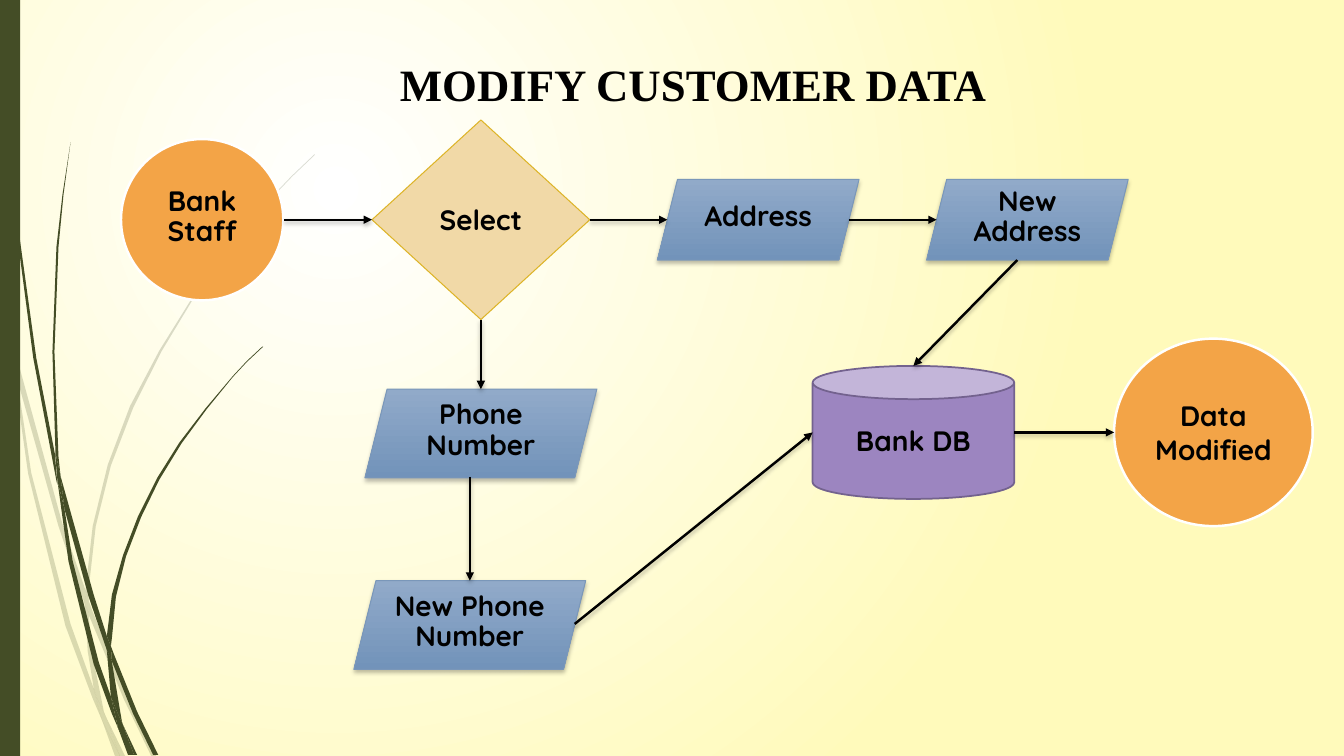
from dataclasses import dataclass
from typing import Optional

from lxml.etree import SubElement
from pptx import Presentation
from pptx.dml.color import RGBColor
from pptx.enum.shapes import MSO_CONNECTOR as Connector, MSO_SHAPE as Shape
from pptx.enum.text import MSO_ANCHOR as Anchor, PP_ALIGN as Align
from pptx.oxml.ns import qn
from pptx.util import Inches, Pt

BLACK = RGBColor(0x00, 0x00, 0x00)
WHITE = RGBColor(0xFF, 0xFF, 0xFF)
CREAM = RGBColor(0xFF, 0xFA, 0xBB)
OLIVE = RGBColor(0x44, 0x4D, 0x26)
ORANGE = RGBColor(0xF3, 0xA4, 0x47)
SAND = RGBColor(0xF1, 0xD9, 0xA7)
GOLD = RGBColor(0xDD, 0xB4, 0x27)
PURPLE = RGBColor(0x9C, 0x85, 0xC0)
DARK_PURPLE = RGBColor(0x73, 0x62, 0x8E)
LIGHT_BLUE = RGBColor(0x91, 0xAA, 0xC9)
BLUE = RGBColor(0x72, 0x93, 0xBA)
EDGE_BLUE = RGBColor(0x7A, 0x97, 0xB9)

Point = tuple[float, float]


@dataclass(frozen=True)
class Style:
    kind: Shape
    fill: RGBColor
    line: RGBColor
    line_width: float
    fill_end: Optional[RGBColor] = None


@dataclass(frozen=True)
class Step:
    text: str
    style: Style
    left: float
    top: float
    width: float
    height: float
    compact: bool = False


@dataclass(frozen=True)
class Arrow:
    start: Point
    end: Point
    start_site: Optional[int] = None
    end_site: Optional[int] = None


TERMINAL = Style(Shape.OVAL, ORANGE, WHITE, 1.75)
DATA = Style(Shape.PARALLELOGRAM, LIGHT_BLUE, EDGE_BLUE, 0.75, BLUE)
DECISION = Style(Shape.DIAMOND, SAND, GOLD, 0.75)
DATABASE = Style(Shape.CAN, PURPLE, DARK_PURPLE, 1.25)

SELECT = Step("Select", DECISION, 3.69, 1.19, 2.16, 1.98)
STEPS = (
    Step("Bank Staff", TERMINAL, 1.2, 1.38, 1.61, 1.6, True),
    Step("Address", DATA, 6.52, 1.78, 2, 0.8, True),
    Step("New Address", DATA, 9.19, 1.78, 2, 0.8, True),
    Step("Phone Number", DATA, 3.62, 3.86, 2.3, 0.88, True),
    Step("New Phone Number", DATA, 3.51, 5.76, 2.3, 0.88, True),
    Step("Bank DB", DATABASE, 8.06, 3.63, 2, 1.32),
    Step("Data Modified", TERMINAL, 11.05, 3.36, 1.97, 1.86),
)
ARROWS = (
    Arrow((2.82, 2.18), (3.69, 2.18), end_site=1),
    Arrow((5.85, 2.18), (6.62, 2.18), start_site=3),
    Arrow((4.77, 3.17), (4.77, 3.86), start_site=2),
    Arrow((8.42, 2.18), (9.29, 2.18)),
    Arrow((4.66, 4.73), (4.66, 5.76)),
    Arrow((10.09, 2.58), (9.06, 3.63)),
    Arrow((5.7, 6.19), (8.06, 4.29)),
    Arrow((10.06, 4.29), (11.05, 4.29)),
)

PALE_BLADES = (
    ((0.11, 3.5), (0.09, 3.22), (0, 2.82), (0, 2.99), (0.1, 3.44)),
    ((0.58, 5.22), (0.84, 5.99), (0.85, 5.86), (0.62, 5.2), (0.14, 3.45), (0.17, 3.76)),
    ((0.92, 6.07), (0.88, 5.96), (0.88, 6.1), (1.23, 6.94), (1.5, 7.5), (1.55, 7.5), (1.27, 6.92)),
    ((1.19, 7.5), (1.24, 7.5), (1.05, 7.11)),
    ((0.93, 6.83), (0.7, 6.19), (0.31, 4.69), (0.17, 3.76), (0.11, 3.5), (0.28, 4.7),
     (0.65, 6.21), (0.92, 6.93), (1.01, 7.14), (0.99, 7.07)),
    ((0.84, 5.99), (0.87, 6.46), (0.93, 6.83), (0.96, 6.92), (1.05, 7.11), (1.03, 7.06),
     (0.91, 6.46), (0.88, 6.1), (0.88, 6.08)),
    ((0.88, 5.84), (0.95, 5.22), (1.1, 4.62), (1.32, 4.05), (1.6, 3.49), (1.92, 2.96),
     (2.29, 2.45), (2.68, 1.98), (2.9, 1.75), (3.12, 1.54), (3.12, 1.53), (2.89, 1.75),
     (2.68, 1.97), (2.28, 2.44), (1.91, 2.95), (1.58, 3.48), (1.29, 4.03), (1.07, 4.61),
     (0.92, 5.22), (0.85, 5.84), (0.85, 5.86), (0.88, 5.96)),
    ((1.01, 7.14), (1.14, 7.5), (1.19, 7.5)),
    ((0.88, 6.08), (0.88, 5.96), (0.85, 5.86), (0.84, 5.99)),
    ((0.96, 6.92), (0.93, 6.83), (0.99, 7.07), (1.01, 7.14), (1.19, 7.5), (1.05, 7.11)),
)
DARK_BLADES = (
    ((0.07, 1.1), (0.17, 2.33), (0.33, 3.55), (0.56, 4.77), (0.57, 4.81), (0.55, 4.57),
     (0.55, 4.53), (0.36, 3.55), (0.19, 2.32), (0.08, 1.09), (0.05, 0.48), (0.04, 0),
     (0.03, 0), (0.04, 0.48)),
    ((0.88, 5.92), (1.06, 6.45), (1.06, 6.31), (0.93, 5.9), (0.6, 4.72), (0.64, 5.05)),
    ((1.13, 6.49), (1.1, 6.41), (1.11, 6.56), (1.32, 7.08), (1.52, 7.49), (1.57, 7.49), (1.36, 7.06)),
    ((1.1, 6.91), (0.98, 6.57), (0.72, 5.56), (0.64, 5.05), (0.57, 4.77), (0.68, 5.57),
     (0.93, 6.59), (1.11, 7.08), (1.17, 7.22), (1.16, 7.17)),
    ((0.6, 4.72), (0.58, 4.53), (0.54, 3.49), (0.58, 2.45), (0.63, 1.93), (0.7, 1.41),
     (0.62, 1.93), (0.56, 2.45), (0.52, 3.49), (0.55, 4.49)),
    ((1.33, 7.49), (1.36, 7.49), (1.22, 7.19)),
    ((0.57, 4.77), (0.64, 5.05), (0.6, 4.72), (0.55, 4.49), (0.55, 4.53)),
    ((1.11, 6.33), (1.15, 5.92), (1.25, 5.52), (1.4, 5.13), (1.58, 4.76), (1.8, 4.4),
     (2.05, 4.06), (2.31, 3.74), (2.45, 3.59), (2.61, 3.44), (2.6, 3.44), (2.45, 3.58),
     (2.31, 3.73), (2.04, 4.05), (1.78, 4.39), (1.56, 4.74), (1.37, 5.12), (1.22, 5.51),
     (1.11, 5.9), (1.06, 6.31), (1.1, 6.41)),
    ((1.17, 7.22), (1.27, 7.49), (1.31, 7.49)),
    ((1.06, 6.45), (1.1, 6.91), (1.16, 7.06), (1.22, 7.19), (1.21, 7.16), (1.11, 6.56), (1.09, 6.51)),
    ((1.06, 6.45), (1.11, 6.56), (1.1, 6.41), (1.06, 6.31)),
    ((1.16, 7.06), (1.1, 6.91), (1.16, 7.17), (1.17, 7.22), (1.3, 7.49), (1.33, 7.49), (1.22, 7.19)),
)


def set_gradient(fill, first: RGBColor, last: RGBColor) -> None:
    fill.gradient()
    for stop, color in zip(fill.gradient_stops, (first, last)):
        stop.color.rgb = color


def paint_background(slide) -> None:
    set_gradient(slide.background.fill, WHITE, CREAM)
    gradient = slide.element.find(".//" + qn("a:gradFill"))
    gradient.remove(gradient.find(qn("a:lin")))
    circle = SubElement(gradient, qn("a:path"), path="circle")
    SubElement(circle, qn("a:fillToRect"), l="50000", t="50000", r="100000", b="100000")


def paint_plain(shape, color: RGBColor) -> None:
    shape.shadow.inherit = False
    shape.fill.solid()
    shape.fill.fore_color.rgb = color
    shape.line.fill.background()


def draw_blade(slide, outline: tuple[Point, ...], opacity: int) -> None:
    points = [(Inches(x), Inches(y)) for x, y in outline]
    builder = slide.shapes.build_freeform(*points[0])
    builder.add_line_segments(points[1:])
    blade = builder.convert_to_shape()
    paint_plain(blade, OLIVE)
    if opacity < 100:
        color = blade.element.spPr.find(qn("a:solidFill"))[0]
        SubElement(color, qn("a:alpha"), val=str(opacity * 1000))


def add_shadow(effects) -> None:
    shadow = SubElement(effects, qn("a:outerShdw"), blurRad=str(Pt(3)), dist=str(Pt(2)),
                        dir="5400000", rotWithShape="0")
    color = SubElement(shadow, qn("a:srgbClr"), val=str(BLACK))
    SubElement(color, qn("a:alpha"), val="25000")


def write_text(shape, text: str, font_name: str, size: int) -> None:
    frame = shape.text_frame
    frame.text = text
    frame.word_wrap = True
    paragraph = frame.paragraphs[0]
    paragraph.alignment = Align.CENTER
    font = paragraph.runs[0].font
    font.name, font.size, font.bold = font_name, Pt(size), True
    font.color.rgb = BLACK


def draw_step(slide, step: Step):
    style = step.style
    shape = slide.shapes.add_shape(style.kind, Inches(step.left), Inches(step.top),
                                   Inches(step.width), Inches(step.height))
    paint_plain(shape, style.fill)
    shape.line.color.rgb = style.line
    shape.line.width = Pt(style.line_width)
    if style.fill_end is not None:
        set_gradient(shape.fill, style.fill, style.fill_end)
        shape.fill.gradient_angle = 270
        add_shadow(shape.element.spPr.find(qn("a:effectLst")))
    write_text(shape, step.text, "Quicksand", 20)
    frame = shape.text_frame
    frame.vertical_anchor = Anchor.MIDDLE
    if step.compact:
        frame.margin_left = frame.margin_right = frame.margin_top = Inches(0.01)
        frame.margin_bottom = Inches(0.06)
        frame.paragraphs[0].line_spacing = 0.9
        frame.paragraphs[0].space_after = Pt(7)
    return shape


def draw_arrow(slide, arrow: Arrow, decision) -> None:
    ends = [Inches(value) for value in arrow.start + arrow.end]
    connector = slide.shapes.add_connector(Connector.STRAIGHT, *ends)
    if arrow.start_site is not None:
        connector.begin_connect(decision, arrow.start_site)
    if arrow.end_site is not None:
        connector.end_connect(decision, arrow.end_site)
    connector.line.color.rgb = BLACK
    connector.line.width = Pt(1.75)
    properties = connector.element.spPr
    SubElement(properties.find(qn("a:ln")), qn("a:tailEnd"), type="triangle")
    add_shadow(SubElement(properties, qn("a:effectLst")))


def main() -> None:
    presentation = Presentation()
    presentation.slide_width, presentation.slide_height = Inches(13.33), Inches(7.5)
    slide = presentation.slides.add_slide(presentation.slide_layouts[6])
    paint_background(slide)
    for blades, opacity in ((PALE_BLADES, 20), (DARK_BLADES, 100)):
        for outline in blades:
            draw_blade(slide, outline, opacity)
    side_bar = slide.shapes.add_shape(Shape.RECTANGLE, 0, 0, Inches(0.2), Inches(7.5))
    paint_plain(side_bar, OLIVE)
    title = slide.shapes.add_textbox(Inches(2.82), Inches(0.51), Inches(8.11), Inches(0.93))
    write_text(title, "MODIFY CUSTOMER DATA", "Times New Roman", 32)
    for step in STEPS:
        draw_step(slide, step)
    decision = draw_step(slide, SELECT)
    for arrow in ARROWS:
        draw_arrow(slide, arrow, decision)
    presentation.save("out.pptx")


if __name__ == "__main__":
    main()
